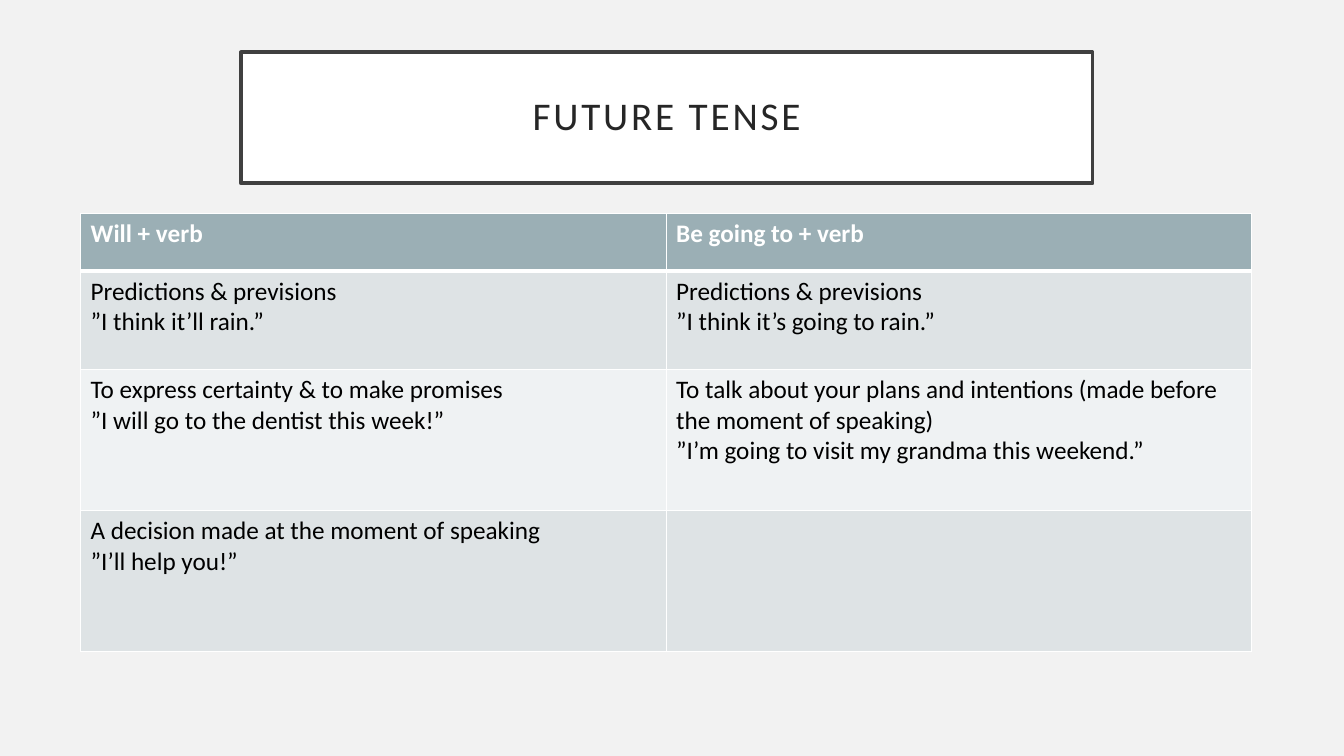
from dataclasses import dataclass

from lxml import etree
from pptx import Presentation
from pptx.dml.color import RGBColor
from pptx.enum.text import MSO_ANCHOR, PP_ALIGN
from pptx.oxml.ns import qn
from pptx.util import Pt

CENTER = PP_ALIGN.CENTER
MIDDLE = MSO_ANCHOR.MIDDLE


@dataclass(frozen=True)
class Theme:
    font: str = "Calibri"
    title_size: int = 28
    table_size: int = 18
    page: str = "F2F2F2"
    white: str = "FFFFFF"
    frame: str = "404040"
    title: str = "262626"
    body: str = "000000"
    header: str = "9BAFB5"
    bands: tuple = ("DEE3E5", "EFF2F3")


THEME = Theme()


def write(paragraph, text, size, color, bold=False, tracking=0):
    """Add one formatted run; tracking is letter spacing in points."""
    span = paragraph.add_run()
    span.text = text
    span.font.name = THEME.font
    span.font.size = Pt(size)
    span.font.bold = bold
    span.font.color.rgb = RGBColor.from_string(color)
    if tracking:
        span.font._element.set("spc", str(tracking * 100))


def add_border(cell, side, width):
    """Draw a white border on side L, R, T or B; call before filling the cell."""
    properties = cell._tc.get_or_add_tcPr()
    line = etree.SubElement(properties, qn(f"a:ln{side}"), w=str(Pt(width)))
    fill = etree.SubElement(line, qn("a:solidFill"))
    etree.SubElement(fill, qn("a:srgbClr"), val=THEME.white)


deck = Presentation()
deck.slide_width, deck.slide_height = Pt(960), Pt(540)
page = deck.slides.add_slide(deck.slide_layouts[5])
page.background.fill.solid()
page.background.fill.fore_color.rgb = RGBColor.from_string(THEME.page)

# Title
title = page.shapes.title
title.left, title.top, title.width, title.height = Pt(172), Pt(37.3), Pt(608.5), Pt(93.6)
title.fill.solid()
title.fill.fore_color.rgb = RGBColor.from_string(THEME.white)
title.line.color.rgb = RGBColor.from_string(THEME.frame)
title.line.width = Pt(2.5)
frame = title.text_frame
frame.word_wrap = True
frame.vertical_anchor = MIDDLE
frame.margin_left = frame.margin_right = frame.margin_top = frame.margin_bottom = Pt(14.4)
heading = frame.paragraphs[0]
heading.alignment = CENTER
heading.line_spacing = 0.9
write(heading, "FUTURE TENSE", THEME.title_size, THEME.title, tracking=2)

# Comparison table: each cell is a list of paragraphs
comparison = [
    (["Will + verb"], ["Be going to + verb"]),
    (["Predictions & previsions", "”I think it’ll rain.”"],
     ["Predictions & previsions", "”I think it’s going to rain.”"]),
    (["To express certainty & to make promises", "”I will go to the dentist this week!”"],
     ["To talk about your plans and intentions (made before the moment of speaking)",
      "”I’m going to visit my grandma this weekend.”"]),
    (["A decision made at the moment of speaking", "”I’ll help you!”"], []),
]
row_heights = [41, 70.2, 100.8, 100.8]
column_width = 418.2

table = page.shapes.add_table(
    len(comparison), 2, Pt(57.6), Pt(152.7), Pt(2 * column_width), Pt(sum(row_heights))
).table
for column in table.columns:
    column.width = Pt(column_width)

for row_index, (height, row) in enumerate(zip(row_heights, comparison)):
    table.rows[row_index].height = Pt(height)
    is_header = row_index == 0
    fill_color = THEME.header if is_header else THEME.bands[(row_index - 1) % 2]
    text_color = THEME.white if is_header else THEME.body
    border_widths = {"L": 1, "R": 1, "T": 3 if row_index == 1 else 1, "B": 3 if is_header else 1}
    for column_index, lines in enumerate(row):
        cell = table.cell(row_index, column_index)
        for side, width in border_widths.items():
            add_border(cell, side, width)
        cell.fill.solid()
        cell.fill.fore_color.rgb = RGBColor.from_string(fill_color)
        for line_index, text in enumerate(lines):
            body = cell.text_frame
            paragraph = body.add_paragraph() if line_index else body.paragraphs[0]
            write(paragraph, text, THEME.table_size, text_color, bold=is_header)

deck.save("out.pptx")
